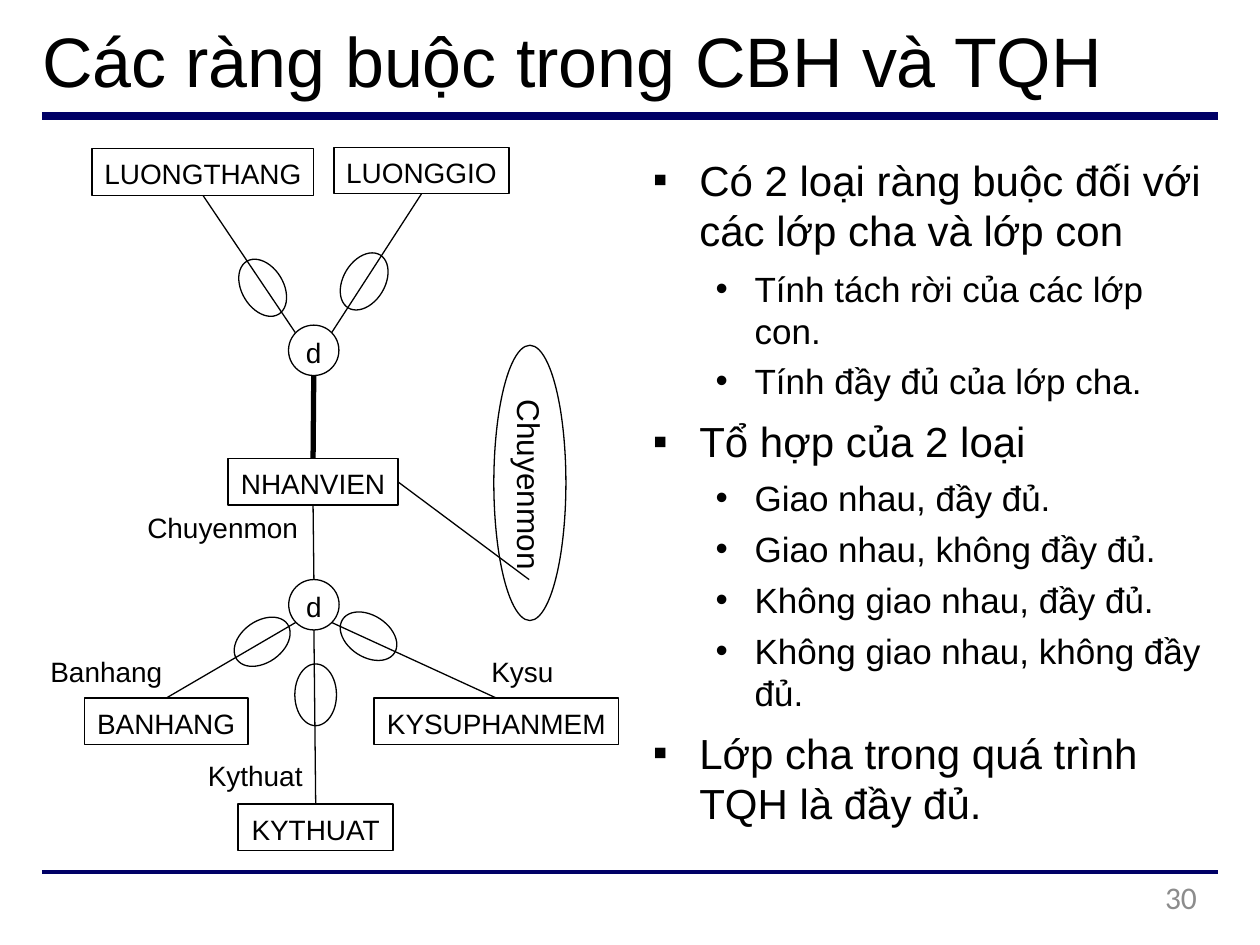
"""Build the slide on constraints of specialisation and generalisation."""
from lxml import etree
from pptx import Presentation
from pptx.dml.color import RGBColor
from pptx.enum.shapes import MSO_CONNECTOR, MSO_SHAPE
from pptx.enum.text import MSO_ANCHOR, PP_ALIGN
from pptx.oxml.ns import qn
from pptx.util import Pt

RECT, OVAL = MSO_SHAPE.RECTANGLE, MSO_SHAPE.OVAL
STRAIGHT = MSO_CONNECTOR.STRAIGHT
LEFT, CENTER, RIGHT = PP_ALIGN.LEFT, PP_ALIGN.CENTER, PP_ALIGN.RIGHT
TOP, MIDDLE = MSO_ANCHOR.TOP, MSO_ANCHOR.MIDDLE
COLORS = {"ink": "000000", "rule": "000066", "number": "8C8C8C"}

prs = Presentation()
prs.slide_width, prs.slide_height = Pt(720), Pt(540)
slide = prs.slides.add_slide(prs.slide_layouts[6])
shapes = slide.shapes


def write(holder, text, size, align=LEFT, anchor=TOP, inset=0, font="Arial", color="ink"):
    frame = holder.text_frame
    frame.word_wrap = False
    frame.vertical_anchor = anchor
    frame.margin_left = frame.margin_right = frame.margin_bottom = 0
    frame.margin_top = Pt(inset)
    paragraph = frame.paragraphs[0]
    paragraph.alignment = align
    run = paragraph.add_run()
    run.text = text
    run.font.name = font
    run.font.size = Pt(size)
    run.font.color.rgb = RGBColor.from_string(COLORS[color])


def draw_line(x1, y1, x2, y2, width=0.75, color="ink"):
    line = shapes.add_connector(STRAIGHT, Pt(x1), Pt(y1), Pt(x2), Pt(y2))
    line.line.width = Pt(width)
    line.line.color.rgb = RGBColor.from_string(COLORS[color])
    etree.SubElement(line._element.spPr, qn("a:effectLst"))
    return line


for y, width in [(66.24, 4.5), (498.24, 2.25)]:
    draw_line(24, y, 696, y, width, "rule")

title = shapes.add_textbox(Pt(24), Pt(3.6), Pt(610), Pt(54.7))
write(title, "Các ràng buộc trong CBH và TQH", 40, inset=6.7)
title.text_frame.paragraphs[0].runs[0].font.size = Pt(40)

nodes = {}
for key, kind, x, y, width, height, text, size in [
    ("BANHANG", RECT, 48.2, 398.9, 93.6, 26.6, "BANHANG", 16),
    ("KYTHUAT", RECT, 136.1, 459.4, 88.6, 26.6, "KYTHUAT", 16),
    ("KYSUPHANMEM", RECT, 213.8, 398.9, 139.7, 26.6, "KYSUPHANMEM", 16),
    ("NHANVIEN", RECT, 130.3, 262.1, 97.2, 26.6, "NHANVIEN", 16),
    ("LUONGTHANG", RECT, 52.6, 85, 126.7, 26.6, "LUONGTHANG", 16),
    ("LUONGGIO", RECT, 190.8, 84.2, 100.1, 26.6, "LUONGGIO", 16),
    ("salary split", OVAL, 164.9, 185.8, 28.8, 28.8, "d", 16),
    ("skill split", OVAL, 165, 331.2, 28.8, 28.8, "d", 16),
    ("skill attribute", OVAL, 282.2, 197.3, 41.2, 157.3, "Chuyenmon", 18),
    ("Banhang subset", OVAL, 137.9, 349.1, 23.8, 35.3, "", 16),
    ("Kythuat subset", OVAL, 168.5, 379.4, 23.8, 35.3, "", 16),
    ("Kysu subset", OVAL, 198.7, 345.9, 23.8, 35.3, "", 16),
    ("Luongthang subset", OVAL, 138.2, 146.8, 23.8, 35.3, "", 16),
    ("Luonggio subset", OVAL, 196.2, 143.2, 23.8, 35.3, "", 16),
]:
    node = shapes.add_shape(kind, Pt(x), Pt(y), Pt(width), Pt(height))
    node.shadow.inherit = False
    node.fill.background()
    node.line.width = Pt(0.75)
    node.line.color.rgb = RGBColor.from_string(COLORS["ink"])
    if text:
        write(node, text, size, CENTER, MIDDLE, 2)
    nodes[key] = node

nodes["skill attribute"].text_frame._txBody.bodyPr.set("vert", "vert")
for key, angle in [("Banhang subset", 55), ("Kysu subset", -57),
                   ("Luongthang subset", -31), ("Luonggio subset", 31)]:
    nodes[key].rotation = angle

for x, y, key, side, width in [
    (168.7, 190, "LUONGTHANG", 2, 0.75),
    (189.6, 190, "LUONGGIO", 2, 0.75),
    (179.3, 214.6, "NHANVIEN", 0, 3),
    (179.4, 331.2, "NHANVIEN", 2, 0.75),
    (302.4, 331.2, "NHANVIEN", 3, 0.75),
    (169, 355.7, "BANHANG", 0, 0.75),
    (179.4, 360, "KYTHUAT", 0, 0.75),
    (189.5, 355.7, "KYSUPHANMEM", 0, 0.75),
]:
    draw_line(x, y, x, y, width).end_connect(nodes[key], side)

for text, x, y, width in [
    ("Chuyenmon", 84.2, 290.2, 87.8),
    ("Banhang", 28.8, 372.2, 66.2),
    ("Kysu", 280.8, 372.2, 37.4),
    ("Kythuat", 118.8, 432, 56.2),
]:
    write(shapes.add_textbox(Pt(x), Pt(y), Pt(width), Pt(20.9)), text, 16, inset=1.6)

points = [
    (0, "Có 2 loại ràng buộc đối với các lớp cha và lớp con", 0),
    (1, "Tính tách rời của các lớp con.", 7),
    (1, "Tính đầy đủ của lớp cha.", 5),
    (0, "Tổ hợp của 2 loại", 8),
    (1, "Giao nhau, đầy đủ.", 6),
    (1, "Giao nhau, không đầy đủ.", 5),
    (1, "Không giao nhau, đầy đủ.", 5),
    (1, "Không giao nhau, không đầy đủ.", 5),
    (0, "Lớp cha trong quá trình TQH là đầy đủ.", 8),
]
levels = [("▪", 24, 27.4, -26.6), ("•", 20, 59, -22.3)]
outline = shapes.add_textbox(Pt(372.2), Pt(86.4), Pt(315.4), Pt(380)).text_frame
outline.word_wrap = True
outline.margin_left = outline.margin_right = outline.margin_bottom = 0
outline.margin_top = Pt(1.7)
for index, (level, text, gap) in enumerate(points):
    mark, size, margin, indent = levels[level]
    point = outline.add_paragraph() if index else outline.paragraphs[0]
    properties = point._p.get_or_add_pPr()
    properties.set("marL", str(Pt(margin)))
    properties.set("indent", str(Pt(indent)))
    etree.SubElement(properties, qn("a:buFont"), typeface="Arial")
    etree.SubElement(properties, qn("a:buChar"), char=mark)
    point.space_before = Pt(gap)
    run = point.add_run()
    run.text = text
    run.font.name = "Arial"
    run.font.size = Pt(size)
    run.font.color.rgb = RGBColor.from_string(COLORS["ink"])

number = shapes.add_textbox(Pt(518.4), Pt(501.8), Pt(165.6), Pt(27.4))
write(number, "30", 18, RIGHT, font="Calibri", color="number")
number.text_frame.word_wrap = True

prs.save("out.pptx")
